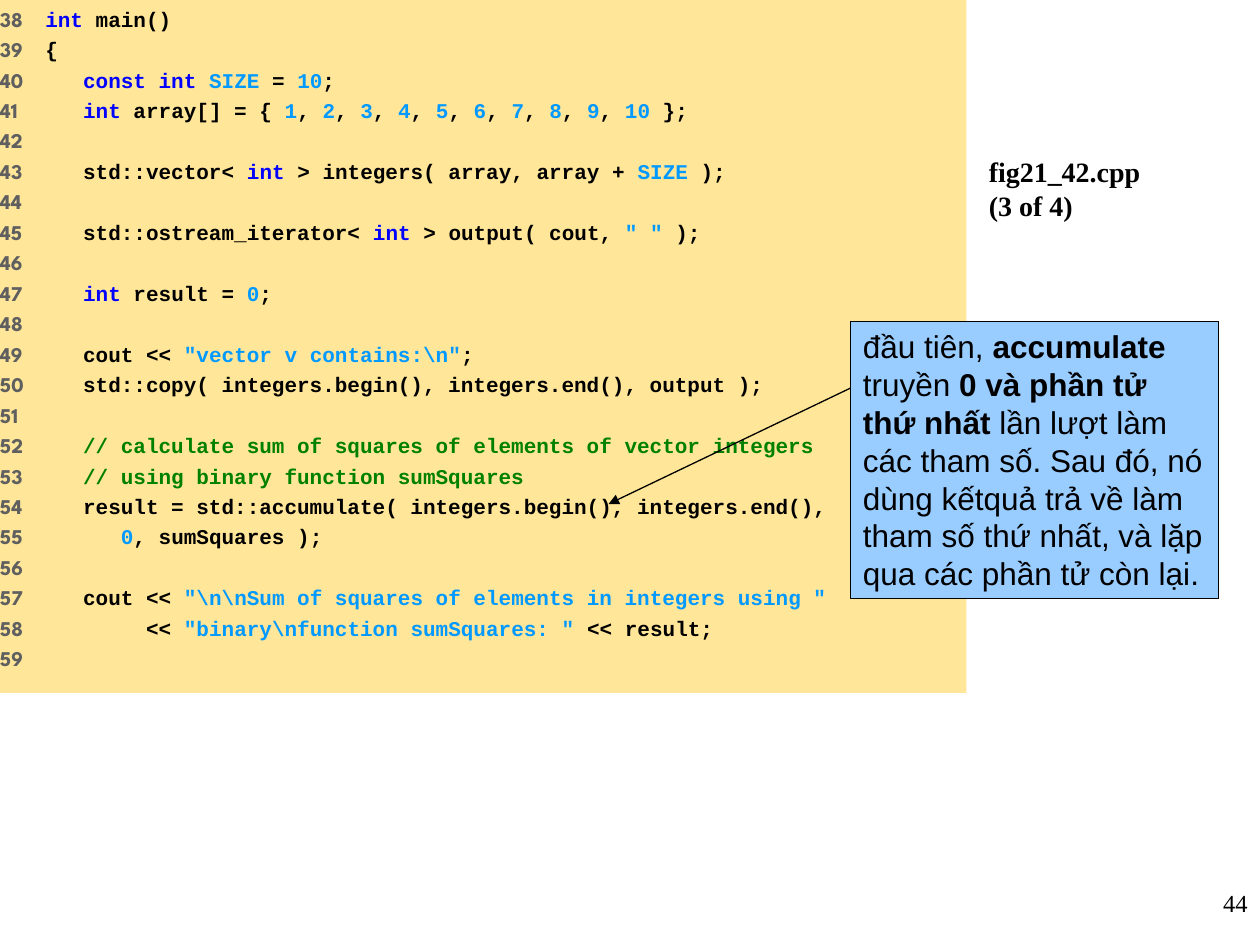
import dataclasses
import typing

import pptx
import pptx.dml.color
import pptx.enum.shapes
import pptx.enum.text
import pptx.oxml.ns
import pptx.util
from lxml import etree

Inches = pptx.util.Inches
Pt = pptx.util.Pt
RGBColor = pptx.dml.color.RGBColor
Align = pptx.enum.text.PP_ALIGN

BLACK = RGBColor(0x00, 0x00, 0x00)
KEYWORD = RGBColor(0x00, 0x00, 0xFF)
LITERAL = RGBColor(0x00, 0x99, 0xFF)
COMMENT = RGBColor(0x00, 0x80, 0x00)
LINE_NUMBER = RGBColor(0x5F, 0x5F, 0x5F)
CODE_FILL = RGBColor(0xFF, 0xE6, 0x99)
NOTE_FILL = RGBColor(0x99, 0xCC, 0xFF)

FIRST_LINE = 38
CODE_LEFT = 0.36  # where unindented code begins, in inches
CHAR_WIDTH = 0.1  # one 12 pt Courier New character, in inches


@dataclasses.dataclass(frozen=True)
class Token:
    text: str
    color: RGBColor = BLACK


@dataclasses.dataclass(frozen=True)
class CodeLine:
    indent: int = 0
    tokens: tuple[Token, ...] = ()


def line(indent: int, *parts: typing.Union[str, Token]) -> CodeLine:
    return CodeLine(indent, tuple(Token(p) if isinstance(p, str) else p for p in parts))


def literal(text: str) -> Token:
    return Token(text, LITERAL)


INT = Token("int", KEYWORD)
SIZE = literal("SIZE")
BLANK = CodeLine()
array_values = [literal("1")]
for number in range(2, 11):
    array_values += [Token(", "), literal(str(number))]

LISTING = [
    line(0, INT, " main()"),
    line(0, "{"),
    line(3, Token("const int ", KEYWORD), SIZE, " = ", literal("10"), ";"),
    line(3, INT, " array[] = { ", *array_values, " };"),
    BLANK,
    line(3, "std::vector< ", INT, " > integers( array, array + ", SIZE, " );"),
    BLANK,
    line(3, "std::ostream_iterator< ", INT, " > output( cout, ", literal('" " '), ");"),
    BLANK,
    line(3, INT, " result = ", literal("0"), ";"),
    BLANK,
    line(3, "cout << ", literal(r'"vector v contains:\n"'), ";"),
    line(3, "std::copy( integers.begin(), integers.end(), output );"),
    BLANK,
    line(3, Token("// calculate sum of squares of elements of vector integers", COMMENT)),
    line(3, Token("// using binary function sumSquares", COMMENT)),
    line(3, "result = std::accumulate( integers.begin(), integers.end(),"),
    line(6, literal("0"), ", sumSquares );"),
    BLANK,
    line(3, "cout << ", literal(r'"\n\nSum of squares of elements in integers using "')),
    line(8, "<< ", literal(r'"binary\nfunction sumSquares: "'), " << result;"),
    BLANK,
]

# Each paragraph is a list of (text, bold)
NOTE = [
    [("đầu tiên, ", False), ("accumulate", True)],
    [("truyền ", False), ("0 và phần tử thứ nhất ", True),
     ("lần lượt làm các tham số. Sau đó, nó dùng kếtquả trả về làm", False)],
    [("tham số thứ nhất, và lặp qua các phần tử còn lại.", False)],
]


def add_text(paragraph, text: str, *, size: float, font: str,
             color: RGBColor = BLACK, bold: bool = False) -> None:
    run = paragraph.add_run()
    run.text = text
    run.font.size = Pt(size)
    run.font.name = font
    run.font.bold = bold
    run.font.color.rgb = color


def add_paragraph(frame, index: int, align=Align.LEFT):
    paragraph = frame.paragraphs[0] if index == 0 else frame.add_paragraph()
    paragraph.alignment = align
    return paragraph


def add_panel(shapes, left: float, top: float, width: float, height: float, fill: RGBColor):
    panel = shapes.add_shape(pptx.enum.shapes.MSO_SHAPE.RECTANGLE,
                             Inches(left), Inches(top), Inches(width), Inches(height))
    panel.shadow.inherit = False
    panel.fill.solid()
    panel.fill.fore_color.rgb = fill
    panel.text_frame.word_wrap = True
    panel.text_frame.vertical_anchor = pptx.enum.text.MSO_ANCHOR.TOP
    return panel


def add_label(shapes, left: float, top: float, width: float, height: float):
    frame = shapes.add_textbox(Inches(left), Inches(top),
                               Inches(width), Inches(height)).text_frame
    frame.word_wrap = True
    return frame


def set_tab_stop(paragraph, position: float) -> None:
    tabs = etree.SubElement(paragraph._p.get_or_add_pPr(), pptx.oxml.ns.qn("a:tabLst"))
    etree.SubElement(tabs, pptx.oxml.ns.qn("a:tab"), pos=str(Inches(position)), algn="l")


def add_arrow(shapes, start: tuple[float, float], end: tuple[float, float]) -> None:
    arrow = shapes.add_connector(pptx.enum.shapes.MSO_CONNECTOR.STRAIGHT,
                                 *map(Inches, start + end))
    arrow.line.color.rgb = BLACK
    arrow.line.width = Pt(0.75)
    etree.SubElement(arrow.line._get_or_add_ln(), pptx.oxml.ns.qn("a:tailEnd"), type="triangle")
    etree.SubElement(arrow._element.spPr, pptx.oxml.ns.qn("a:effectLst"))


def add_listing(shapes) -> None:
    panel = add_panel(shapes, 0, 0, 7.67, 5.5, CODE_FILL)
    panel.line.fill.background()
    panel.text_frame.margin_left = 0
    for index, code in enumerate(LISTING):
        paragraph = add_paragraph(panel.text_frame, index)
        paragraph.space_before = Pt(3)
        set_tab_stop(paragraph, CODE_LEFT + code.indent * CHAR_WIDTH)
        gutter = f"{FIRST_LINE + index}" + ("\t" if code.tokens else "")
        add_text(paragraph, gutter, size=12, font="League Spartan",
                 color=LINE_NUMBER, bold=True)
        for token in code.tokens:
            add_text(paragraph, token.text, size=12, font="Courier New",
                     color=token.color, bold=True)


def add_note(shapes) -> None:
    callout = shapes.add_group_shape()
    note = add_panel(callout.shapes, 6.75, 2.55, 2.92, 2.2, NOTE_FILL)
    note.line.color.rgb = BLACK
    note.line.width = Pt(0.75)
    for index, pieces in enumerate(NOTE):
        paragraph = add_paragraph(note.text_frame, index)
        paragraph.line_spacing = Pt(21.6)
        for text, bold in pieces:
            add_text(paragraph, text, size=18, font="Arial", bold=bold)
    add_arrow(callout.shapes, (6.75, 3.08), (4.83, 4))


def main() -> None:
    deck = pptx.Presentation()
    deck.slide_width, deck.slide_height = Inches(10), Inches(7.5)
    shapes = deck.slides.add_slide(deck.slide_layouts[6]).shapes

    # Code listing
    add_listing(shapes)

    # Page number
    page_number = add_label(shapes, 9.5, 7, 0.5, 0.5)
    add_text(add_paragraph(page_number, 0, Align.RIGHT), "44", size=14, font="Times New Roman")

    # File name and part
    title = add_label(shapes, 7.75, 0.92, 2.25, 6)
    title.margin_top = Inches(0.31)
    for index, text in enumerate(("fig21_42.cpp", "(3 of 4)")):
        add_text(add_paragraph(title, index), text, size=16, font="Times New Roman", bold=True)

    # Explanation pointing at the accumulate call
    add_note(shapes)
    deck.save("out.pptx")


if __name__ == "__main__":
    main()
